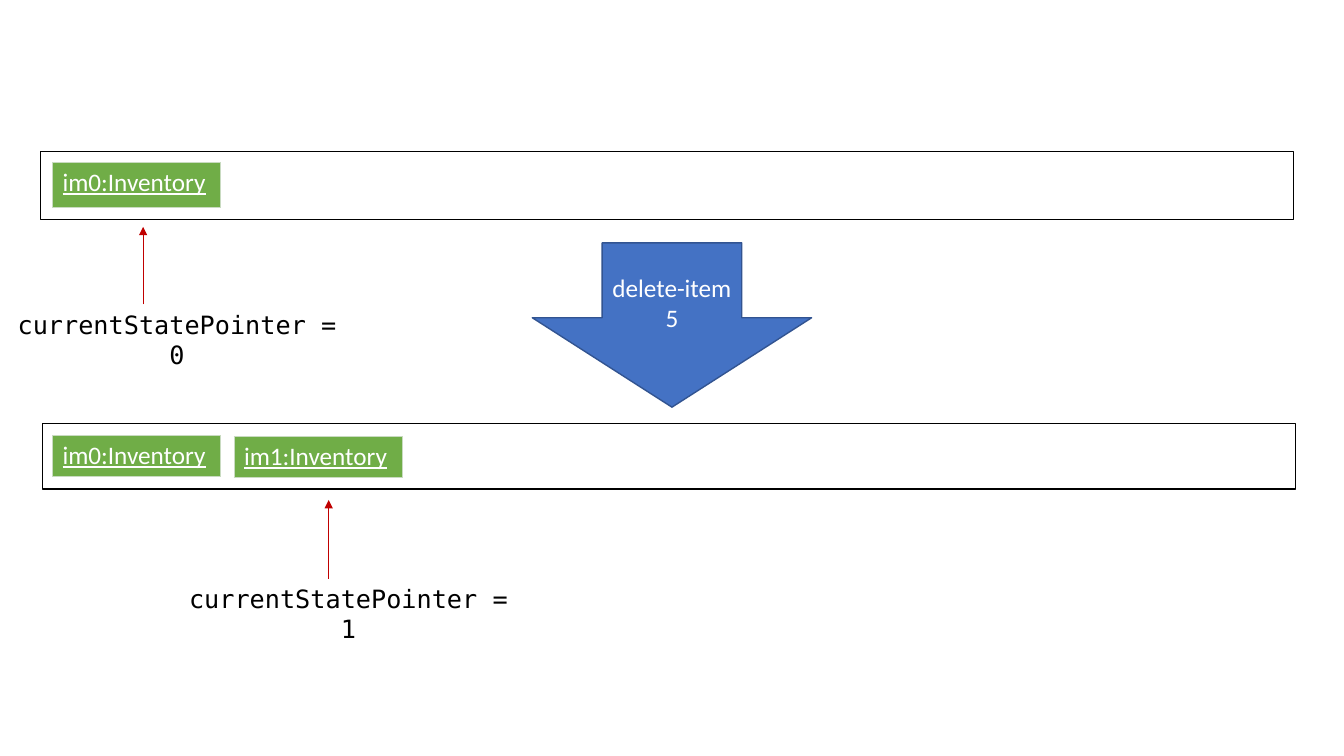
"""Build a slide showing the state list before and after a delete-item command."""
from dataclasses import dataclass

from lxml.etree import SubElement
from pptx import Presentation
from pptx.dml.color import RGBColor
from pptx.enum.shapes import MSO_CONNECTOR, MSO_SHAPE
from pptx.enum.text import MSO_ANCHOR, MSO_AUTO_SIZE, PP_ALIGN
from pptx.oxml.ns import qn
from pptx.util import Inches, Pt


@dataclass(frozen=True)
class Theme:
    black: str = "000000"
    white: str = "FFFFFF"
    blue: str = "4472C4"
    dark_blue: str = "325491"
    green: str = "70AD47"
    pale_green: str = "C9DBC1"
    red: str = "C00000"
    body_font: str = "Calibri"
    code_font: str = "DejaVu Sans Mono"
    text_size: int = 18
    outline: float = 1
    thin_line: float = 0.5


THEME = Theme()
COMMAND = {"text": "delete-item 5", "box": (5.28, 2.41, 2.77, 1.63)}
STATES = [
    {
        "list_box": (0.4, 1.5, 12.43, 0.68),
        "items": [("im0:Inventory", 0.52, 1.61)],
        "item_height": 0.45,
        "pointer": (1.42, 3.02, 2.25),
        "label": ("currentStatePointer = 0", 0, 3.02),
    },
    {
        "list_box": (0.42, 4.2, 12.43, 0.65),
        "items": [("im0:Inventory", 0.52, 4.32), ("im1:Inventory", 2.32, 4.33)],
        "item_height": 0.4,
        "pointer": (3.26, 5.74, 4.96),
        "label": ("currentStatePointer = 1", 1.7, 5.74),
    },
]
ITEM_WIDTH = 1.67
LABEL_SIZE = (3.51, 0.4)


def inches(values):
    return [Inches(value) for value in values]


def write_text(frame, text, color, font=THEME.body_font, align=PP_ALIGN.CENTER, underline=False):
    paragraph = frame.paragraphs[0]
    paragraph.alignment = align
    run = paragraph.add_run()
    run.text = text
    run.font.name = font
    run.font.size = Pt(THEME.text_size)
    run.font.color.rgb = RGBColor.from_string(color)
    run.font.underline = underline


def add_box(slide, kind, box, line, fill=None):
    shape = slide.shapes.add_shape(kind, *inches(box))
    shape.shadow.inherit = False
    if fill:
        shape.fill.solid()
        shape.fill.fore_color.rgb = RGBColor.from_string(fill)
    else:
        shape.fill.background()
    shape.line.color.rgb = RGBColor.from_string(line)
    shape.line.width = Pt(THEME.outline)
    return shape


def add_command(slide):
    arrow = add_box(slide, MSO_SHAPE.DOWN_ARROW, COMMAND["box"], THEME.dark_blue, THEME.blue)
    arrow.adjustments[0] = 0.5
    arrow.adjustments[1] = 0.544
    arrow.text_frame.word_wrap = True
    arrow.text_frame.vertical_anchor = MSO_ANCHOR.MIDDLE
    write_text(arrow.text_frame, COMMAND["text"], THEME.white)


def add_item(slide, text, left, top, height):
    box = inches((left, top, ITEM_WIDTH, height))
    table = slide.shapes.add_table(1, 1, *box).table
    cell = table.cell(0, 0)
    write_text(cell.text_frame, text, THEME.white, align=PP_ALIGN.LEFT, underline=True)
    properties = cell._tc.get_or_add_tcPr()
    for side in ("a:lnL", "a:lnR", "a:lnT", "a:lnB"):
        border = SubElement(properties, qn(side), w=str(Pt(THEME.thin_line)))
        fill = SubElement(border, qn("a:solidFill"))
        SubElement(fill, qn("a:srgbClr"), val=THEME.pale_green)
    cell.fill.solid()
    cell.fill.fore_color.rgb = RGBColor.from_string(THEME.green)


def add_pointer(slide, x, start, end):
    pointer = slide.shapes.add_connector(MSO_CONNECTOR.STRAIGHT, *inches((x, start, x, end)))
    pointer.line.color.rgb = RGBColor.from_string(THEME.red)
    pointer.line.width = Pt(THEME.thin_line)
    SubElement(pointer.line._get_or_add_ln(), qn("a:tailEnd"), type="triangle")
    SubElement(pointer._element.spPr, qn("a:effectLst"))


def add_label(slide, text, left, top):
    label = slide.shapes.add_textbox(*inches((left, top, *LABEL_SIZE)))
    label.text_frame.word_wrap = True
    label.text_frame.auto_size = MSO_AUTO_SIZE.SHAPE_TO_FIT_TEXT
    write_text(label.text_frame, text, THEME.black, font=THEME.code_font)


def add_state(slide, state):
    add_box(slide, MSO_SHAPE.RECTANGLE, state["list_box"], THEME.black)
    for text, left, top in state["items"]:
        add_item(slide, text, left, top, state["item_height"])
    add_pointer(slide, *state["pointer"])
    add_label(slide, *state["label"])


presentation = Presentation()
presentation.slide_width = Inches(13.33)
presentation.slide_height = Inches(7.5)
slide = presentation.slides.add_slide(presentation.slide_layouts[6])
add_command(slide)
for state in STATES:
    add_state(slide, state)
presentation.save("out.pptx")
